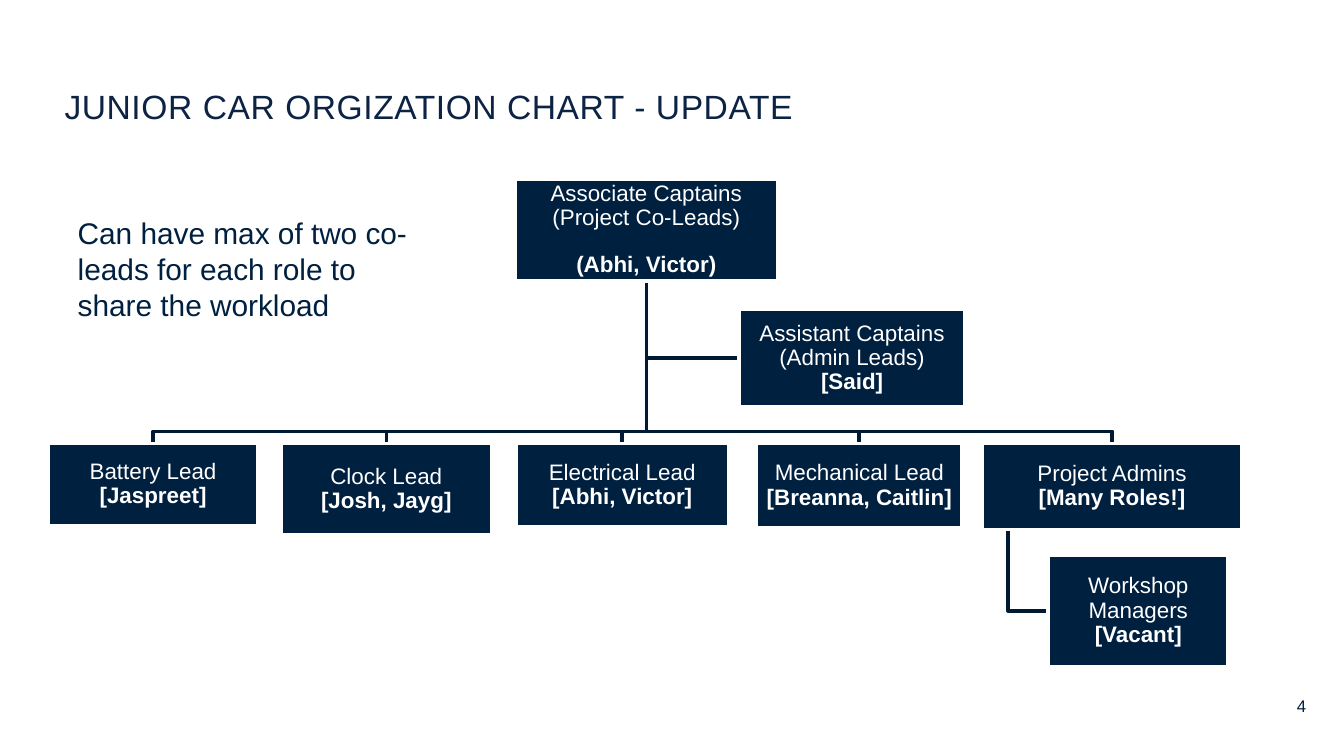
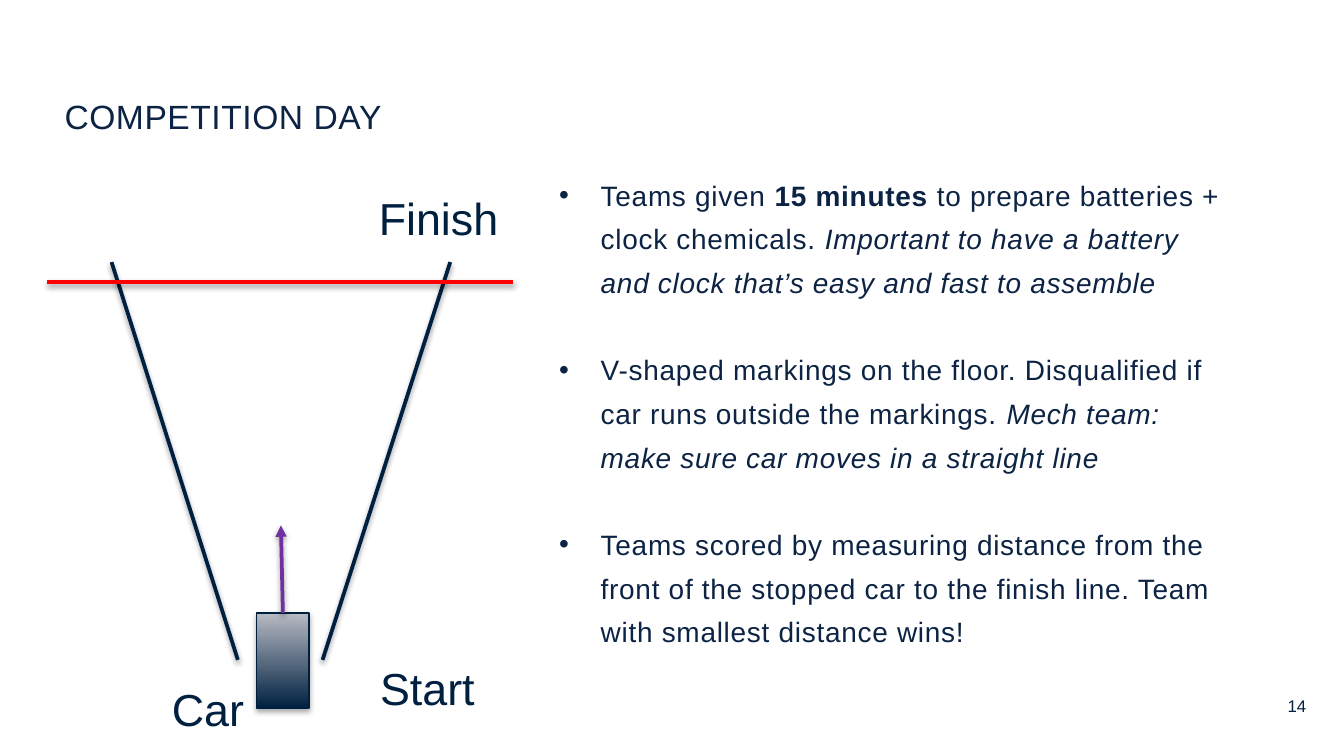
from dataclasses import dataclass

from lxml import etree
from pptx import Presentation
from pptx.dml.color import RGBColor
from pptx.enum.shapes import MSO_CONNECTOR, MSO_SHAPE
from pptx.enum.text import MSO_ANCHOR, MSO_AUTO_SIZE, PP_ALIGN
from pptx.oxml.ns import qn
from pptx.util import Inches, Pt

RECTANGLE = MSO_SHAPE.RECTANGLE
STRAIGHT = MSO_CONNECTOR.STRAIGHT
TOP, MIDDLE = MSO_ANCHOR.TOP, MSO_ANCHOR.MIDDLE
LEFT, CENTER, RIGHT = PP_ALIGN.LEFT, PP_ALIGN.CENTER, PP_ALIGN.RIGHT
FIXED, GROW = MSO_AUTO_SIZE.NONE, MSO_AUTO_SIZE.SHAPE_TO_FIT_TEXT

FONT = "Arial"
NAVY, INK, WHITE = "002040", "0C2344", "FFFFFF"
BRANCH, CAR_EDGE, CAR_LIGHT = "001A33", "001F3F", "B8BBC4"
RED, PURPLE = "FF0000", "7030A0"

TITLE_ONLY, TITLE_AND_BODY = 5, 1
CELL = Inches(0.1)  # the slide is a grid 100 columns wide
LINE_WIDTH = 2


@dataclass(frozen=True)
class Area:
    """A rectangle in grid columns and rows."""
    left: float
    top: float
    width: float
    height: float

    @property
    def center(self) -> float:
        return self.left + self.width / 2

    @property
    def middle(self) -> float:
        return self.top + self.height / 2

    @property
    def bottom(self) -> float:
        return self.top + self.height


@dataclass(frozen=True)
class TextStyle:
    size: float
    color: str = NAVY
    tracking: int = 0  # hundredths of a point


@dataclass(frozen=True)
class Span:
    text: str
    bold: bool = False
    italic: bool = False


@dataclass(frozen=True)
class Role:
    area: Area
    lines: tuple[str, ...]
    holders: str
    gap: float = 0  # points between role and holders


@dataclass(frozen=True)
class Label:
    text: str
    area: Area


@dataclass(frozen=True)
class Marking:
    start: tuple[float, float]
    end: tuple[float, float]
    color: str = NAVY
    arrow: bool = False


TITLE_STYLE = TextStyle(18, INK, 30)
BODY_STYLE = TextStyle(15, INK, 40)
NUMBER_STYLE = TextStyle(9)
ROLE_STYLE = TextStyle(12, WHITE)
NOTE_STYLE = TextStyle(16)
LABEL_STYLE = TextStyle(24)

NUMBER_AREA = Area(93.9, 51.8, 3.3, 2.1)
LEADS_TOP, RAIL = 33, 32.1

CAPTAINS = Role(Area(38.3, 13.3, 19.6, 7.6),
                ("Associate Captains", "(Project Co-Leads)"), "(Abhi, Victor)", 12.4)
ASSISTANTS = Role(Area(55, 23, 16.8, 7.3),
                  ("Assistant Captains (Admin Leads)",), "[Said]")
LEADS = [
    Role(Area(3.6, LEADS_TOP, 15.6, 6.1), ("Battery Lead",), "[Jaspreet]"),
    Role(Area(20.9, LEADS_TOP, 15.7, 6.8), ("Clock Lead",), "[Josh, Jayg]"),
    Role(Area(38.4, LEADS_TOP, 15.8, 6.2), ("Electrical Lead",), "[Abhi, Victor]"),
    Role(Area(56.3, LEADS_TOP, 15.3, 6.3), ("Mechanical Lead",), "[Breanna, Caitlin]"),
    Role(Area(73.1, LEADS_TOP, 19.3, 6.4), ("Project Admins",), "[Many Roles!]"),
]
WORKSHOP = Role(Area(78, 41.3, 13.4, 8.3), ("Workshop Managers",), "[Vacant]")

NOTE = Label("Can have max of two co-leads for each role to share the workload",
             Area(4.8, 15.5, 26.8, 9.1))

RULES = [
    [Span("Teams given "), Span("15 minutes ", bold=True),
     Span("to prepare batteries + clock chemicals."),
     Span(" Important to have a battery and clock that’s easy and fast to assemble",
          italic=True)],
    [Span("V-shaped markings on the floor. Disqualified if car runs outside the markings. "),
     Span("Mech team: make sure car moves in a straight line", italic=True)],
    [Span("Teams scored by measuring distance from the front of the stopped car to the "
          "finish line. Team with smallest distance wins!")],
]
RULES_AREA = Area(41.6, 12.5, 49.2, 40.2)
CAR = Area(19.1, 45.6, 3.9, 7.1)
TRACK_EDGES = [Marking((8.3, 19.5), (17.7, 49.1)), Marking((33.5, 19.5), (24, 49.1))]
FINISH_LINE = Marking((3.5, 21), (38.2, 21), RED)
HEADING = Marking((CAR.center, CAR.top), (20.9, 39.1), PURPLE, arrow=True)
TRACK_LABELS = [
    Label("Finish", Area(27.2, 13.7, 11, 5)),
    Label("Start", Area(27.3, 48.7, 9.1, 5)),
    Label("Car", Area(11.8, 50.2, 7.5, 5)),
]


def rgb(color: str) -> RGBColor:
    return RGBColor.from_string(color)


def cells(*lengths: float) -> list[int]:
    return [round(length * CELL) for length in lengths]


def bounds(area: Area) -> list[int]:
    return cells(area.left, area.top, area.width, area.height)


def place(shape, area: Area) -> None:
    shape.left, shape.top, shape.width, shape.height = bounds(area)


def add_span(para, span: Span, style: TextStyle) -> None:
    run = para.add_run()
    run.text = span.text
    font = run.font
    font.name, font.size = FONT, Pt(style.size)
    font.bold, font.italic = span.bold, span.italic
    font.color.rgb = rgb(style.color)
    if style.tracking:
        run._r.get_or_add_rPr().set("spc", str(style.tracking))


def set_frame(shape, inset: float = 0, anchor=TOP, wrap: bool = True, fit=FIXED):
    frame = shape.text_frame
    frame.margin_left = frame.margin_right = Inches(inset)
    frame.margin_top = frame.margin_bottom = Inches(inset / 2)
    frame.vertical_anchor, frame.word_wrap, frame.auto_size = anchor, wrap, fit
    return frame


def add_label(page, label: Label, style: TextStyle, wrap: bool = False) -> None:
    box = page.shapes.add_textbox(*bounds(label.area))
    frame = set_frame(box, 0.1, wrap=wrap, fit=GROW)
    add_span(frame.paragraphs[0], Span(label.text), style)


def add_page(deck, layout: int, title: str, title_top: float, number: int):
    """Add a page with the shared title and page number."""
    page = deck.slides.add_slide(deck.slide_layouts[layout])
    heading = page.shapes.title
    place(heading, Area(4.8, title_top, 83.8, 6.8))
    para = set_frame(heading, anchor=MIDDLE).paragraphs[0]
    para.alignment, para.line_spacing = LEFT, Pt(21)
    add_span(para, Span(title), TITLE_STYLE)

    box = page.shapes.add_textbox(*bounds(NUMBER_AREA))
    para = set_frame(box).paragraphs[0]
    para.alignment = RIGHT
    add_span(para, Span(str(number)), NUMBER_STYLE)
    return page


def set_line(shape, color: str, width: float = LINE_WIDTH) -> None:
    shape.line.color.rgb = rgb(color)
    shape.line.width = Pt(width)


def add_branch(page, *points: tuple[float, float]) -> None:
    """Draw an open angled line through grid points."""
    start, *rest = [cells(*point) for point in points]
    builder = page.shapes.build_freeform(*start)
    builder.add_line_segments(rest, close=False)
    branch = builder.convert_to_shape()
    branch.shadow.inherit = False
    branch.fill.background()
    set_line(branch, BRANCH)


def add_role(page, role: Role) -> None:
    box = page.shapes.add_shape(RECTANGLE, *bounds(role.area))
    box.shadow.inherit = False
    box.fill.solid()
    box.fill.fore_color.rgb = rgb(NAVY)
    set_line(box, WHITE)
    frame = set_frame(box, 0.01, MIDDLE)
    para = frame.paragraphs[0]
    for index, line in enumerate(role.lines):
        if index:
            para.add_line_break()
        add_span(para, Span(line), ROLE_STYLE)
    if role.gap:
        para = frame.add_paragraph()
        para.space_before = Pt(role.gap)
    else:
        para.add_line_break()
    add_span(para, Span(role.holders, bold=True), ROLE_STYLE)
    for para in frame.paragraphs:
        para.alignment, para.line_spacing = CENTER, 0.9


def add_shadow(shape, opacity: int, distance: float) -> None:
    """Add a soft black shadow that falls straight down."""
    effects = etree.SubElement(shape._element.spPr, qn("a:effectLst"))
    shadow = etree.SubElement(effects, qn("a:outerShdw"), blurRad=str(Pt(3.1)),
                              dist=str(Pt(distance)), dir="5400000", rotWithShape="0")
    black = etree.SubElement(shadow, qn("a:srgbClr"), val="000000")
    etree.SubElement(black, qn("a:alpha"), val=str(opacity * 1000))


def add_marking(page, marking: Marking) -> None:
    line = page.shapes.add_connector(STRAIGHT, *cells(*marking.start, *marking.end))
    set_line(line, marking.color)
    if marking.arrow:
        etree.SubElement(line.line._get_or_add_ln(), qn("a:tailEnd"), type="triangle")
    add_shadow(line, 38, 1.6)


def add_car(page) -> None:
    car = page.shapes.add_shape(RECTANGLE, *bounds(CAR))
    car.fill.gradient()
    car.fill.gradient_angle = 90
    for stop, color in zip(car.fill.gradient_stops, (NAVY, CAR_LIGHT)):
        stop.color.rgb = rgb(color)
    set_line(car, CAR_EDGE, 0.75)
    add_shadow(car, 35, 1.8)


def add_rules(page) -> None:
    body = page.placeholders[1]
    place(body, RULES_AREA)
    frame = set_frame(body)
    for index, spans in enumerate(RULES):
        para = frame.add_paragraph() if index else frame.paragraphs[0]
        properties = para._p.get_or_add_pPr()
        properties.set("marL", str(Inches(0.31)))
        properties.set("indent", str(-Inches(0.31)))
        etree.SubElement(properties, qn("a:buChar"), char="•")
        para.line_spacing = 1.3
        para.space_before = Pt(23.4 if index else 0)
        for span in spans:
            add_span(para, span, BODY_STYLE)


def build_organization(deck) -> None:
    page = add_page(deck, TITLE_ONLY, "JUNIOR CAR ORGIZATION CHART - UPDATE", 4.5, 4)
    trunk, top = CAPTAINS.area.center, CAPTAINS.area.bottom
    assistants, workshop, admins = ASSISTANTS.area, WORKSHOP.area, LEADS[-1].area
    add_branch(page, (trunk, top), (trunk, assistants.middle),
               (assistants.left, assistants.middle))
    stem = admins.left + admins.width / 10
    add_branch(page, (stem, admins.bottom), (stem, workshop.middle),
               (workshop.left, workshop.middle))
    for lead in reversed(LEADS):
        center = lead.area.center
        add_branch(page, (trunk, top), (trunk, RAIL), (center, RAIL), (center, LEADS_TOP))
    for role in (CAPTAINS, *LEADS, WORKSHOP, ASSISTANTS):
        add_role(page, role)
    add_label(page, NOTE, NOTE_STYLE, wrap=True)


def build_competition(deck) -> None:
    page = add_page(deck, TITLE_AND_BODY, "COMPETITION DAY", 5.3, 14)
    add_rules(page)
    for edge in TRACK_EDGES:
        add_marking(page, edge)
    add_car(page)
    for marking in (FINISH_LINE, HEADING):
        add_marking(page, marking)
    for label in TRACK_LABELS:
        add_label(page, label, LABEL_STYLE)


def main() -> None:
    deck = Presentation()
    deck.slide_width = Inches(10)
    deck.slide_height = deck.slide_width * 9 // 16
    build_organization(deck)
    build_competition(deck)
    deck.save("out.pptx")


if __name__ == "__main__":
    main()
